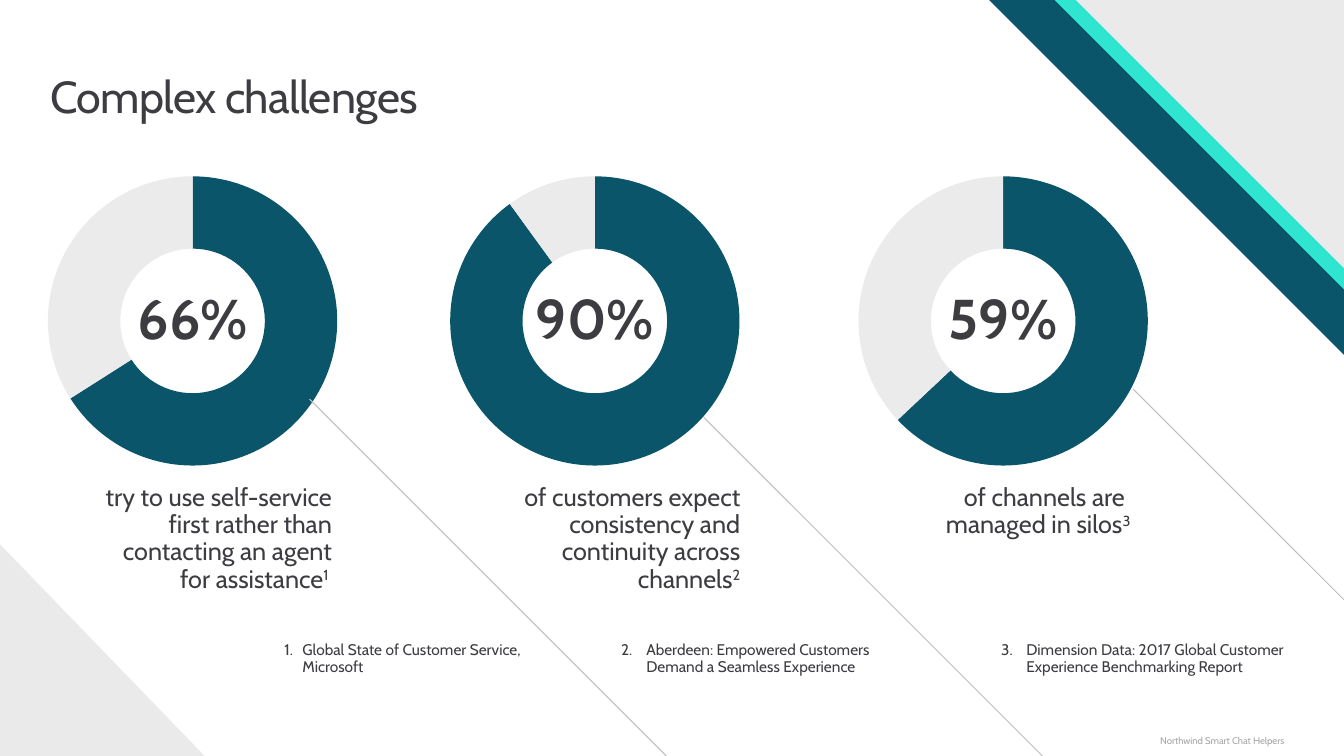
"""Build the "Complex challenges" slide with three doughnut charts and their sources."""
from lxml import etree
from pptx import Presentation
from pptx.chart.data import CategoryChartData
from pptx.dml.color import RGBColor
from pptx.enum.chart import XL_CHART_TYPE
from pptx.enum.shapes import MSO_CONNECTOR
from pptx.enum.text import MSO_ANCHOR, PP_ALIGN
from pptx.oxml import parse_xml
from pptx.oxml.ns import nsdecls, qn
from pptx.util import Inches, Pt

DOUGHNUT = XL_CHART_TYPE.DOUGHNUT
STRAIGHT = MSO_CONNECTOR.STRAIGHT
TOP, MIDDLE = MSO_ANCHOR.TOP, MSO_ANCHOR.MIDDLE
LEFT, CENTER, RIGHT = PP_ALIGN.LEFT, PP_ALIGN.CENTER, PP_ALIGN.RIGHT
INK, PETROL, TEAL, PALE, TRACK = "3C3C41", "0B556A", "30E5D0", "EAEAEA", "EBEBEB"
RULE, FOOTER_GREY = "BFBFBF", "A6A6A6"
FONT = "Cabin"
WIDTH, HEIGHT = 13.33, 7.5
MARGINS = ("margin_left", "margin_top", "margin_right", "margin_bottom")


def style_font(font, size, color=INK, bold=False):
    for key, value in {"name": FONT, "size": Pt(size), "bold": bold}.items():
        setattr(font, key, value)
    font.color.rgb = RGBColor.from_string(color)


def add_text(box, text, size, align, color=INK, bold=False, anchor=TOP,
             margins=(0, 0, 0, 0), spacing=0.9):
    frame = box.text_frame
    frame_format = {"word_wrap": True, "vertical_anchor": anchor}
    frame_format.update(zip(MARGINS, map(Inches, margins)))
    for key, value in frame_format.items():
        setattr(frame, key, value)
    paragraph = frame.paragraphs[0]
    paragraph.alignment = align
    paragraph.line_spacing = spacing
    for index, line in enumerate(text.split("\n")):
        if index:
            paragraph.add_line_break()
        run = paragraph.add_run()
        run.text = line
        style_font(run.font, size, color, bold)
    return paragraph


prs = Presentation()
prs.slide_width, prs.slide_height = Inches(WIDTH), Inches(HEIGHT)
slide = prs.slides.add_slide(prs.slide_layouts[5])
shapes = slide.shapes

footer = shapes.add_textbox(Inches(10.34), Inches(7.28), Inches(2.5), Inches(0.13))
add_text(footer, "Northwind Smart Chat Helpers", 6.9, RIGHT, FOOTER_GREY,
         anchor=MIDDLE, margins=(0.1, 0, 0.1, 0), spacing=1.0)

title = shapes.title
for key, value in {"left": 0.5, "top": 0.68, "width": 12.36, "height": 0.54}.items():
    setattr(title, key, Inches(value))
heading = add_text(title, "Complex challenges", 32, LEFT, spacing=1.0)
heading.runs[0].font._element.set("spc", "-50")

challenges = [
    (0.34, 66, "66%", 0.77, 1.19, "1 ",
     "try to use self-service first rather than contacting an agent for assistance"),
    (4.33, 90, "90%", 4.82, 1.19, "2",
     "of customers expect consistency and continuity across channels"),
    (8.38, 63, "59%", 8.69, 0.65, "3", "of channels are \nmanaged in silos"),
]
for chart_left, share, label, claim_left, claim_height, mark, claim in challenges:
    data = CategoryChartData()
    data.categories = ["1", "2"]
    data.add_series("Series 1", (share, 100 - share))
    chart = shapes.add_chart(DOUGHNUT, Inches(chart_left), Inches(1.5),
                             Inches(3.14), Inches(3.37), data).chart
    chart.has_legend = chart.has_title = False
    style_font(chart.font, 10)
    plot = chart.plots[0]
    plot.vary_by_categories = False
    for index, color in enumerate((PETROL, TRACK)):
        slice_format = plot.series[0].points[index].format
        slice_format.fill.solid()
        slice_format.fill.fore_color.rgb = RGBColor.from_string(color)
        slice_format.line.fill.background()
    plot_area = chart._chartSpace.find(".//" + qn("c:plotArea"))
    plot_area.find(".//" + qn("c:holeSize")).set("val", "70")
    for old_layout in plot_area.findall(qn("c:layout")):
        plot_area.remove(old_layout)
    plot_area.insert(0, parse_xml(
        f'<c:layout {nsdecls("c")}><c:manualLayout><c:layoutTarget val="inner"/>'
        '<c:xMode val="edge"/><c:yMode val="edge"/><c:x val="0.043"/><c:y val="0.074"/>'
        '<c:w val="0.914"/><c:h val="0.852"/></c:manualLayout></c:layout>'))

    percent = shapes.add_textbox(Inches(chart_left + 0.85), Inches(2.77),
                                 Inches(1.44), Inches(0.83))
    add_text(percent, label, 40, CENTER, bold=True, anchor=MIDDLE)

    claim_box = shapes.add_textbox(Inches(claim_left), Inches(4.76),
                                   Inches(2.62), Inches(claim_height))
    claim_line = add_text(claim_box, claim, 18, RIGHT, margins=(0.1, 0.05, 0.1, 0.05))
    reference = claim_line.add_run()
    reference.text = mark
    style_font(reference.font, 18)
    reference.font._element.set("baseline", "30000")

sources = [
    (2.82, 2.36, 0.18, "Global State of Customer Service, Microsoft"),
    (6.16, 2.82, 0.25, "Aberdeen: Empowered Customers Demand a Seamless Experience"),
    (9.93, 3.07, 0.25,
     "Dimension Data: 2017 Global Customer Experience Benchmarking Report"),
]
for number, (left, width, indent, source) in enumerate(sources, 1):
    source_box = shapes.add_textbox(Inches(left), Inches(6.37), Inches(width), Inches(0.33))
    properties = add_text(source_box, source, 11, LEFT)._p.get_or_add_pPr()
    properties.set("marL", str(Inches(indent)))
    properties.set("indent", str(-Inches(indent)))
    numbering = etree.SubElement(properties, qn("a:buAutoNum"))
    numbering.set("type", "arabicPeriod")
    numbering.set("startAt", str(number))

for diagonal in [(3.07, 3.96, 6.61, 7.5), (6.98, 4.14, 10.34, 7.5),
                 (11.24, 3.86, 13.33, 5.95)]:
    divider = shapes.add_connector(STRAIGHT, *map(Inches, diagonal))
    divider.line.color.rgb = RGBColor.from_string(RULE)
    divider.line.width = Pt(0.75)
    etree.SubElement(divider._element.spPr, qn("a:effectLst"))

corners = [([(WIDTH - size, 0), (WIDTH, 0), (WIDTH, size)], color)
           for size, color in ((3.52, PETROL), (2.87, TEAL), (2.66, PALE))]
corners.append(([(2.03, HEIGHT), (0, HEIGHT), (0, 5.4)], PALE))
for points, color in corners:
    start, *rest = [(Inches(x), Inches(y)) for x, y in points]
    outline = shapes.build_freeform(*start)
    outline.add_line_segments(rest, close=True)
    corner = outline.convert_to_shape()
    corner.shadow.inherit = False
    corner.fill.solid()
    corner.fill.fore_color.rgb = RGBColor.from_string(color)
    corner.line.fill.background()

prs.save("out.pptx")
